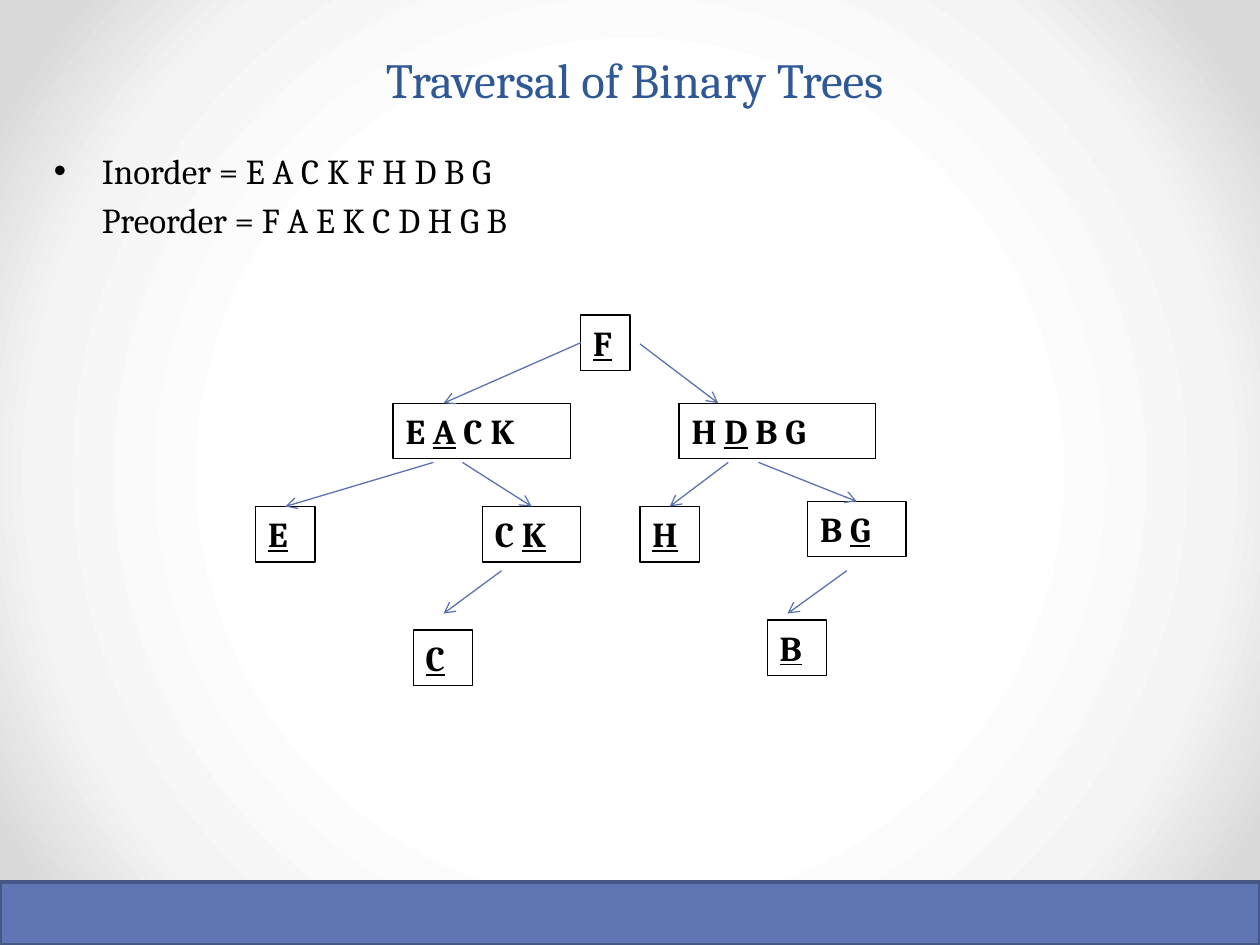
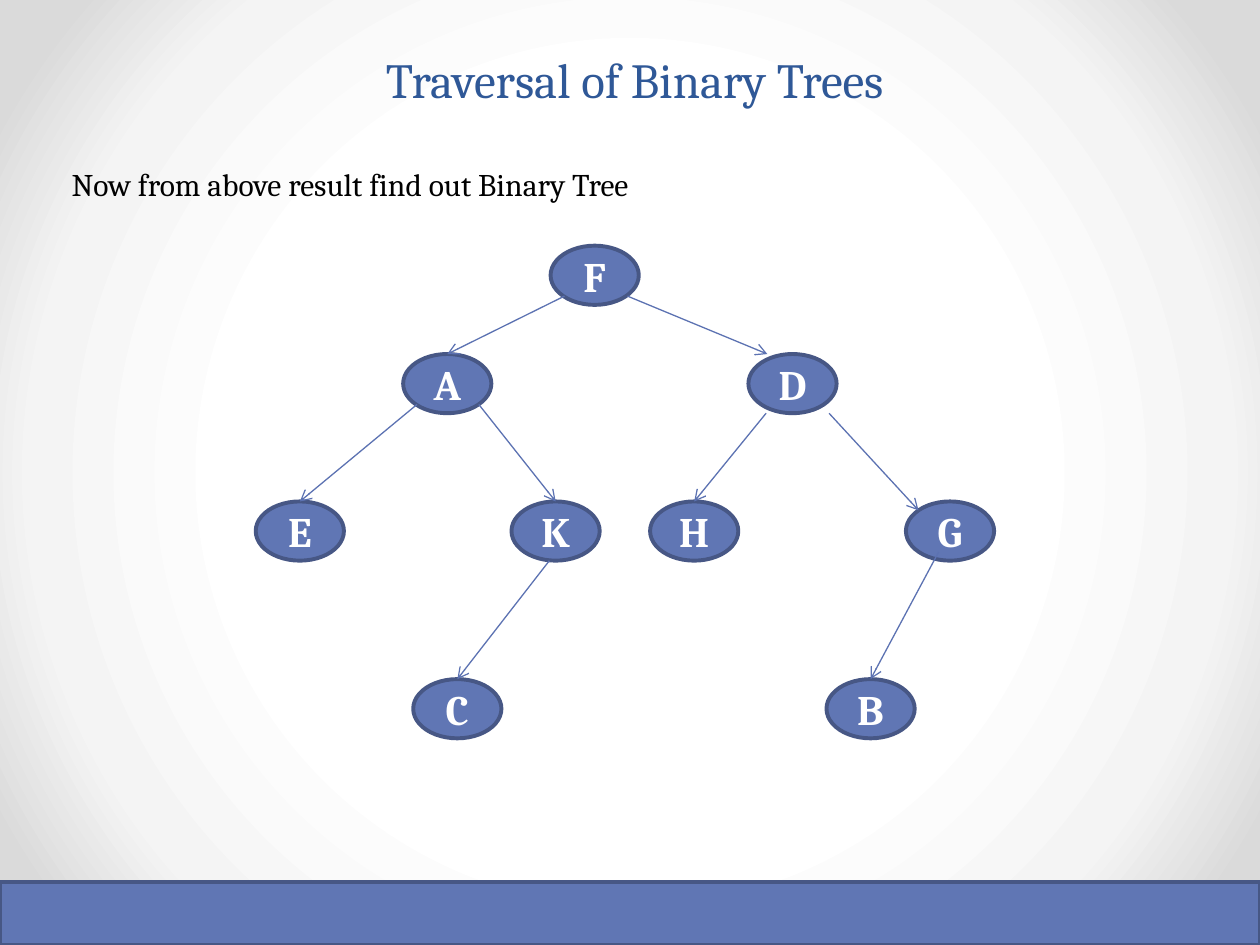
from dataclasses import dataclass

from lxml import etree
from pptx import Presentation
from pptx.dml.color import RGBColor
from pptx.enum.shapes import MSO_CONNECTOR, MSO_SHAPE
from pptx.enum.text import MSO_ANCHOR as Anchor, MSO_AUTO_SIZE as AutoSize, PP_ALIGN as Align
from pptx.oxml import parse_xml
from pptx.oxml.ns import nsdecls, qn
from pptx.util import Inches, Pt

TOP, LEFT = 0, 1  # connection sites


@dataclass(frozen=True)
class Theme:
    font: str = "Cambria"
    ink: str = "000000"
    white: str = "FFFFFF"
    title: str = "2F5897"
    accent: str = "6076B4"
    edge: str = "475785"
    arrow: str = "5C72B2"
    backdrop: tuple = ((50, "FFFFFF"), (76, "F4F4F4"), (92, "DADADA"))
    title_size: int = 28
    node_size: int = 24
    body_size: int = 20
    note_size: int = 18
    title_leading: int = 58
    body_leading: int = 28
    thick: float = 2.25
    thin: float = 0.75


class TreeDeck:
    """Holds the theme and the current slide."""

    def __init__(self, theme):
        self.theme = theme
        self.deck = Presentation()
        self.deck.slide_width, self.deck.slide_height = Inches(10), Inches(7.5)
        self.page = None
        self.paint_backdrop()

    def paint_backdrop(self):
        master = self.deck.slide_master
        master.background.fill.solid()
        stops = "".join(
            f'<a:gs pos="{at * 1000}"><a:srgbClr val="{color}"/></a:gs>'
            for at, color in self.theme.backdrop)
        gradient = parse_xml(
            f'<a:gradFill {nsdecls("a")} rotWithShape="1"><a:gsLst>{stops}</a:gsLst>'
            '<a:path path="circle"><a:fillToRect l="50000" t="50000" r="50000" b="50000"/>'
            '</a:path></a:gradFill>')
        solid = master.element.find(".//" + qn("p:bgPr")).find(qn("a:solidFill"))
        solid.getparent().replace(solid, gradient)

    # Shared styling
    def style(self, para, size, color, bold=None, align=None, leading=None):
        font = para.font
        font.name, font.size, font.bold = self.theme.font, Pt(size), bold
        font.color.rgb = RGBColor.from_string(color)
        para.alignment = align
        if leading:
            para.line_spacing = Pt(leading)

    def outline(self, shape, color, width):
        shape.line.color.rgb = RGBColor.from_string(color)
        shape.line.width = Pt(width)

    # Elements
    def start_page(self, title):
        theme = self.theme
        self.page = self.deck.slides.add_slide(self.deck.slide_layouts[5])
        head = self.page.shapes.title
        head.left, head.top, head.width, head.height = map(Inches, (0.58, 0.08, 9, 0.75))
        frame = head.text_frame
        frame.text = title
        frame.auto_size = AutoSize.NONE
        frame.vertical_anchor = Anchor.MIDDLE
        self.style(frame.paragraphs[0], theme.title_size, theme.title,
                   align=Align.CENTER, leading=theme.title_leading)
        self.filled(MSO_SHAPE.RECTANGLE, 0, 7, 10, 0.5)

    def filled(self, kind, left, top, width, height):
        shape = self.page.shapes.add_shape(kind, *map(Inches, (left, top, width, height)))
        shape.shadow.inherit = False
        shape.fill.solid()
        shape.fill.fore_color.rgb = RGBColor.from_string(self.theme.accent)
        self.outline(shape, self.theme.edge, self.theme.thick)
        return shape

    def text(self, left, top, width, height, words, size, bullet=False):
        box = self.page.shapes.add_textbox(*map(Inches, (left, top, width, height)))
        box.text_frame.word_wrap = True
        para = box.text_frame.paragraphs[0]
        para.text = words
        self.style(para, size, self.theme.ink, leading=self.theme.body_leading)
        if bullet:
            props = para._p.get_or_add_pPr()
            props.set("marL", str(Inches(0.38)))
            props.set("indent", str(Inches(-0.38)))
            font = parse_xml(f'<a:buFont {nsdecls("a")} typeface="Arial"/>')
            mark = parse_xml(f'<a:buChar {nsdecls("a")} char="•"/>')
            default = props.find(qn("a:defRPr"))
            default.addprevious(font)
            default.addprevious(mark)

    def key_box(self, left, top, width, keys):
        """A framed list of keys; the root sits between underscores."""
        box = self.page.shapes.add_textbox(*map(Inches, (left, top, width, 0.44)))
        self.outline(box, self.theme.ink, self.theme.thin)
        frame = box.text_frame
        frame.word_wrap = True
        frame.auto_size = AutoSize.SHAPE_TO_FIT_TEXT
        para = frame.paragraphs[0]
        self.style(para, self.theme.body_size, self.theme.ink, bold=True)
        for index, part in enumerate(keys.split("_")):
            if part:
                span = para.add_run()
                span.text = part
                if index % 2:
                    span.font.underline = True
        return box

    def node(self, left, top, key):
        oval = self.filled(MSO_SHAPE.OVAL, left, top, 0.7, 0.47)
        frame = oval.text_frame
        frame.vertical_anchor = Anchor.MIDDLE
        frame.paragraphs[0].text = key
        self.style(frame.paragraphs[0], self.theme.node_size, self.theme.white,
                   bold=True, align=Align.CENTER)
        return oval

    def arrow(self, start, end):
        """Each end is a point (x, y) or a joint (shape, site)."""
        line = self.page.shapes.add_connector(MSO_CONNECTOR.STRAIGHT, 0, 0, 0, 0)
        (first, second), (third, fourth) = start, end
        if hasattr(first, "shape_id"):
            line.begin_connect(first, second)
        else:
            line.begin_x, line.begin_y = Inches(first), Inches(second)
        if hasattr(third, "shape_id"):
            line.end_connect(third, fourth)
        else:
            line.end_x, line.end_y = Inches(third), Inches(fourth)
        self.outline(line, self.theme.arrow, self.theme.thin)
        props = line._element.spPr
        etree.SubElement(props.find(qn("a:ln")), qn("a:tailEnd"), type="arrow")
        etree.SubElement(props, qn("a:effectLst"))


TITLE = "Traversal of Binary Trees "

# Left, top, width and keys of each subtree
SUBTREES = {
    "F": (4.61, 2.5, 0.39, "_F_"),
    "A": (3.12, 3.2, 1.41, "E _A_ C K"),
    "D": (5.39, 3.2, 1.56, "H _D_ B G"),
    "E": (2.03, 4.02, 0.47, "_E_"),
    "K": (3.83, 4.02, 0.78, "C _K_"),
    "C": (3.28, 5, 0.47, "_C_"),
    "H": (5.08, 4.02, 0.47, "_H_"),
    "G": (6.41, 3.98, 0.78, "B _G_"),
    "B": (6.09, 4.92, 0.47, "_B_"),
}

# Left and top of each node
NODES = {
    "F": (4.37, 1.95),
    "A": (3.2, 2.81), "D": (5.94, 2.81),
    "E": (2.03, 3.98), "K": (4.06, 3.98), "H": (5.16, 3.98), "G": (7.19, 3.98),
    "C": (3.28, 5.39), "B": (6.56, 5.39),
}


def build_subtrees(tree):
    tree.start_page(TITLE)
    tree.text(0.33, 1.08, 9.17, 0.9,
              "Inorder = E A C K F H D B G\vPreorder = F A E K C D H G B",
              tree.theme.body_size, bullet=True)
    boxes = {key: tree.key_box(*place) for key, place in SUBTREES.items()}
    for start, end in (
        ((boxes["F"], LEFT), (3.52, 3.2)),
        ((5.08, 2.73), (5.7, 3.2)),
        ((3.44, 3.67), (boxes["E"], TOP)),
        ((3.67, 3.67), (boxes["K"], TOP)),
        ((5.78, 3.67), (boxes["H"], TOP)),
        ((6.02, 3.67), (boxes["G"], TOP)),
        ((3.98, 4.53), (3.52, 4.87)),
        ((6.72, 4.53), (6.25, 4.87)),
    ):
        tree.arrow(start, end)


def build_result(tree):
    tree.start_page(TITLE)
    tree.text(0.47, 1.17, 8.36, 0.45, "Now from above result find out Binary Tree",
              tree.theme.note_size)
    nodes = {key: tree.node(*place, key) for key, place in NODES.items()}
    for start, end in (
        ((4.48, 2.35), (nodes["A"], TOP)),
        ((4.98, 2.35), (6.09, 2.81)),
        ((3.8, 3.21), (nodes["K"], TOP)),
        ((3.31, 3.21), (nodes["E"], TOP)),
        ((4.36, 4.45), (nodes["C"], TOP)),
        ((6.58, 3.28), (7.29, 4.05)),
        ((6.08, 3.28), (nodes["H"], TOP)),
        ((7.45, 4.38), (nodes["B"], TOP)),
    ):
        tree.arrow(start, end)


def main():
    tree = TreeDeck(Theme())
    build_subtrees(tree)
    build_result(tree)
    tree.deck.save("out.pptx")


if __name__ == "__main__":
    main()
